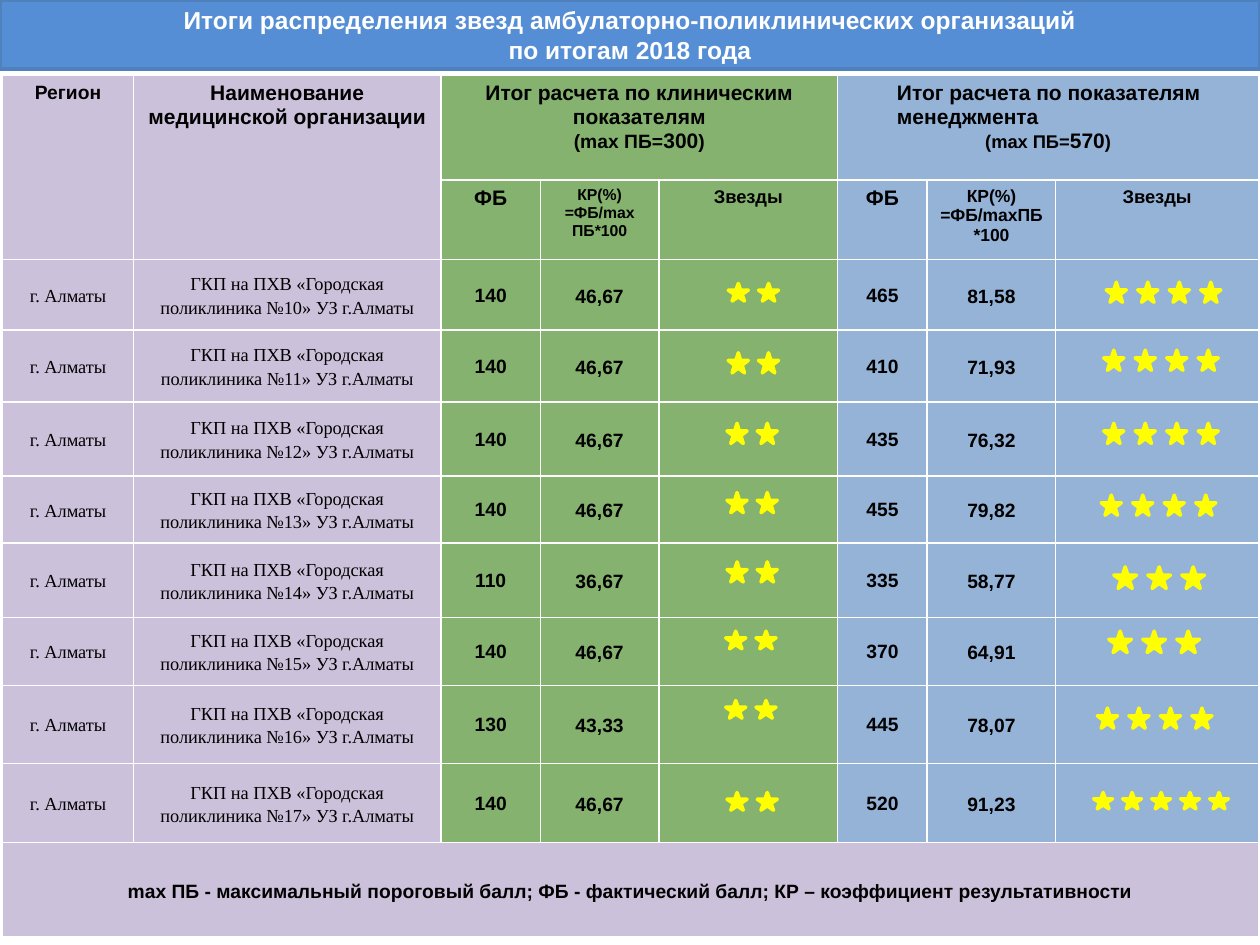
from pptx import Presentation
from pptx.dml.color import RGBColor
from pptx.enum.shapes import MSO_SHAPE
from pptx.enum.text import MSO_ANCHOR, PP_ALIGN
from pptx.oxml.ns import qn
from pptx.util import Inches, Pt
from lxml import etree

RECT, STAR = MSO_SHAPE.RECTANGLE, MSO_SHAPE.STAR_5_POINT
TOP, MID = MSO_ANCHOR.TOP, MSO_ANCHOR.MIDDLE
CENTER, LEFT = PP_ALIGN.CENTER, PP_ALIGN.LEFT
SANS, SERIF = "Arial", "Times New Roman"
HEX = {"bar": "558ED5", "edge": "4F81BD", "lilac": "CCC1DA", "green": "85B26E",
       "blue": "95B3D7", "star": "FFFF00", "white": "FFFFFF", "black": "000000"}
COLOR = {name: RGBColor.from_string(code) for name, code in HEX.items()}

TITLE = ("Итоги распределения звезд амбулаторно-поликлинических организаций\v"
         "по итогам 2018 года")
NOTE = ("mах ПБ - максимальный пороговый балл; ФБ - фактический балл; "
        "КР – коэффициент результативности")
REGION = "г. Алматы"
CLINIC = "ГКП на ПХВ «Городская поликлиника №{}» УЗ г.Алматы"

# (row, column, rows spanned, columns spanned, paragraphs of (text, size) runs)
HEADS = [
    (0, 0, 2, 1, [[("Регион", 11)]]),
    (0, 1, 2, 1, [[("Наименование медицинской организации", 12)]]),
    (0, 2, 1, 3, [[("Итог расчета по клиническим показателям", 12)],
                  [("(mах ПБ=", 11), ("300", 12), (")", 11)]]),
    (0, 5, 1, 3, [[("Итог расчета по показателям менеджмента", 12)],
                  [("(mах ПБ=", 10.5), ("570", 12), (")", 10.5)]]),
    (1, 2, 1, 1, [[("ФБ", 12)]]),
    (1, 3, 1, 1, [[("КР(%)", 9)], [("=ФБ/mах ПБ*100", 9)]]),
    (1, 4, 1, 1, [[("Звезды", 10.5)]]),
    (1, 5, 1, 1, [[("ФБ", 12)]]),
    (1, 6, 1, 1, [[("КР(%)", 10)], [("=ФБ/mахПБ *100", 10)]]),
    (1, 7, 1, 1, [[("Звезды", 10.5)]]),
]
# clinic number, then score, percent and stars (count, left, top, height), twice
ROWS = [
    (10, "140", "46,67", (2, 5.78, 2.25, 0.14), "465", "81,58", (4, 8.78, 2.24, 0.16)),
    (11, "140", "46,67", (2, 5.78, 2.80, 0.16), "410", "71,93", (4, 8.76, 2.78, 0.16)),
    (12, "140", "46,67", (2, 5.77, 3.36, 0.16), "435", "76,32", (4, 8.76, 3.36, 0.16)),
    (13, "140", "46,67", (2, 5.77, 3.91, 0.16), "455", "79,82", (4, 8.74, 3.93, 0.16)),
    (14, "110", "36,67", (2, 5.77, 4.46, 0.16), "335", "58,77", (3, 8.84, 4.50, 0.17)),
    (15, "140", "46,67", (2, 5.76, 5.01, 0.14), "370", "64,91", (3, 8.80, 5.01, 0.17)),
    (16, "130", "43,33", (2, 5.76, 5.56, 0.14), "445", "78,07", (4, 8.71, 5.62, 0.16)),
    (17, "140", "46,67", (2, 5.77, 6.29, 0.14), "520", "91,23", (5, 8.68, 6.29, 0.13)),
]
STAR_SIZE = {2: (0.16, 0.24), 3: (0.18, 0.27), 4: (0.16, 0.25), 5: (0.15, 0.23)}  # width, step
WIDTHS = [1.04, 2.44, 0.79, 0.94, 1.42, 0.71, 1.02, 1.61]
HEIGHTS = [0.83, 0.63, 0.56, 0.57, 0.59, 0.53, 0.59, 0.54, 0.62, 0.63, 0.75]
FILLS = ["lilac"] * 2 + ["green"] * 3 + ["blue"] * 3
WIDE, TIGHT = (0.07, 0, 0.07, 0), (0.01, 0.01, 0.01, 0)


def style(run, size, font=SANS, bold=True, color="black"):
    run.font.size, run.font.name, run.font.bold = Pt(size), font, bold
    run.font.color.rgb = COLOR[color]


def write(cell, paras, font=SANS, bold=True, anchor=MID, inset=None, space=None):
    """Fill a cell with paragraphs, each a list of (text, size) runs."""
    cell.vertical_anchor = anchor
    if inset:
        (cell.margin_left, cell.margin_top,
         cell.margin_right, cell.margin_bottom) = map(Inches, inset)
    frame = cell.text_frame
    for i, runs in enumerate(paras):
        para = frame.add_paragraph() if i else frame.paragraphs[0]
        para.alignment = CENTER
        if space:
            para.line_spacing = space
        for text, size in runs:
            run = para.add_run()
            run.text = text
            style(run, size, font, bold)


def paint(cell, color):
    """Give a cell white borders and a plain fill."""
    props = cell._tc.get_or_add_tcPr()
    for side in ("lnL", "lnR", "lnT", "lnB"):
        line = etree.SubElement(props, qn("a:" + side), w=str(Pt(1)))
        fill = etree.SubElement(line, qn("a:solidFill"))
        etree.SubElement(fill, qn("a:srgbClr"), val=HEX["white"])
    cell.fill.solid()
    cell.fill.fore_color.rgb = COLOR[color]


def add_shape(shapes, kind, box, fill, line):
    shape = shapes.add_shape(kind, *map(Inches, box))
    shape.shadow.inherit = False
    shape.fill.solid()
    shape.fill.fore_color.rgb = COLOR[fill]
    shape.line.color.rgb = COLOR[line]
    shape.line.width = Pt(2)
    return shape


def add_stars(slide, count, left, top, height):
    width, step = STAR_SIZE[count]
    group = slide.shapes.add_group_shape()
    for i in range(count):
        add_shape(group.shapes, STAR, (left + i * step, top, width, height), "star", "star")


def add_title(slide):
    bar = add_shape(slide.shapes, RECT, (0, 0, 10, 0.55), "bar", "edge")
    frame = bar.text_frame
    frame.word_wrap = True
    frame.vertical_anchor = MID
    frame.text = TITLE
    para = frame.paragraphs[0]
    para.alignment = CENTER
    for run in para.runs:
        style(run, 14, color="white")


def add_grid(slide):
    box = map(Inches, (0.02, 0.6, sum(WIDTHS), sum(HEIGHTS)))
    table = slide.shapes.add_table(len(HEIGHTS), len(WIDTHS), *box).table
    table.first_row = table.horz_banding = False
    for col, width in zip(table.columns, WIDTHS):
        col.width = Inches(width)
    for row, height in zip(table.rows, HEIGHTS):
        row.height = Inches(height)

    last = len(HEIGHTS) - 1
    for r in range(len(HEIGHTS)):
        for c, fill in enumerate(FILLS):
            paint(table.cell(r, c), "lilac" if r == last else fill)

    for r, c, down, across, paras in HEADS:
        cell = table.cell(r, c)
        if down * across > 1:
            cell.merge(table.cell(r + down - 1, c + across - 1))
        write(cell, paras, anchor=TOP)
    # both lines of the management heading start at one indent
    para = table.cell(0, 5).text_frame.paragraphs[0]
    para.alignment = LEFT
    para._p.get_or_add_pPr().set("marL", str(Inches(0.37)))

    for r, (number, *scores) in enumerate(ROWS, start=2):
        for c, text in enumerate((REGION, CLINIC.format(number))):
            write(table.cell(r, c), [[(text, 10.5)]], SERIF, False, inset=WIDE, space=1.15)
        for c, (score, share, stars) in ((2, scores[:3]), (5, scores[3:])):
            write(table.cell(r, c), [[(score, 11)]], inset=TIGHT)
            write(table.cell(r, c + 1), [[(share, 11)]], inset=WIDE, space=1.15)

    foot = table.cell(last, 0)
    foot.merge(table.cell(last, len(WIDTHS) - 1))
    write(foot, [[(NOTE, 11)]], inset=WIDE, space=1.15)


def main():
    deck = Presentation()
    deck.slide_width, deck.slide_height = Inches(10), Inches(7.5)
    slide = deck.slides.add_slide(deck.slide_layouts[6])
    add_title(slide)
    add_grid(slide)
    for row in ROWS:
        for stars in (row[3], row[6]):
            add_stars(slide, *stars)
    deck.save("out.pptx")


if __name__ == "__main__":
    main()
